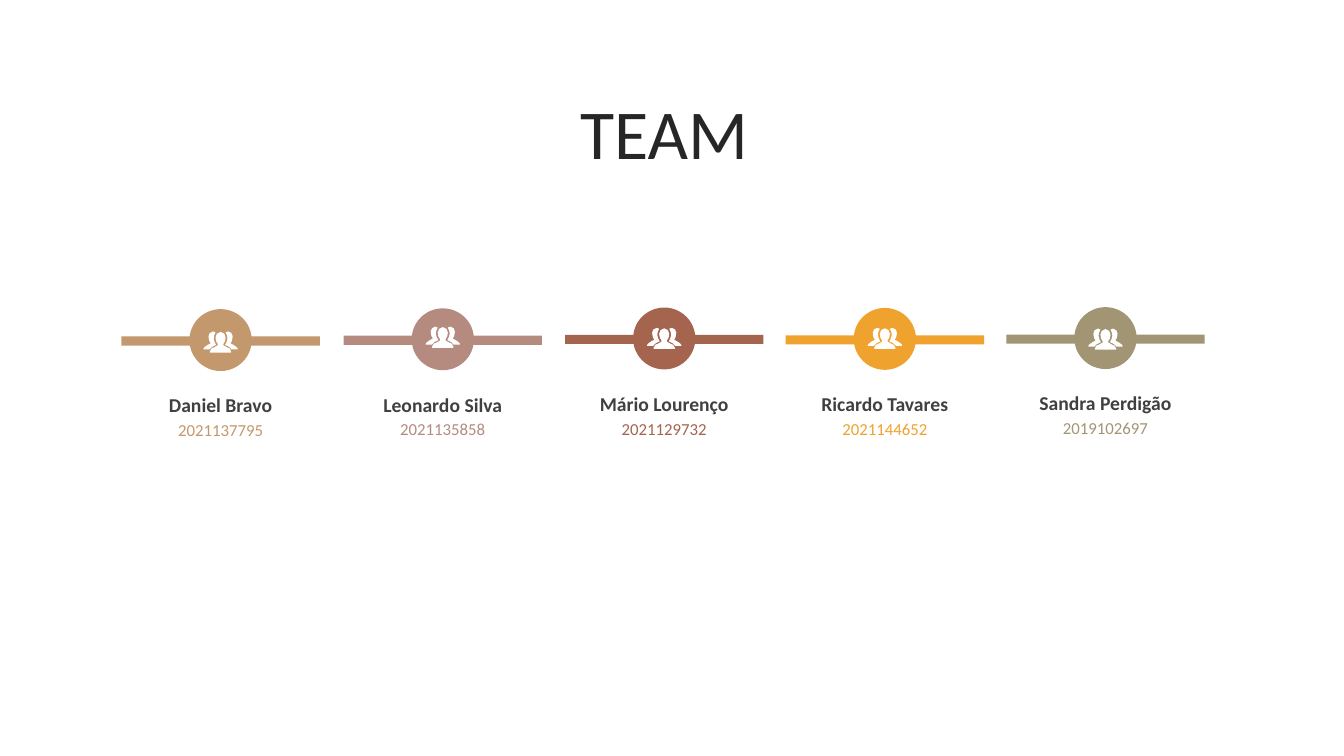
from dataclasses import dataclass

from lxml.etree import SubElement
from pptx import Presentation
from pptx.dml.color import RGBColor
from pptx.enum.shapes import MSO_SHAPE
from pptx.enum.text import MSO_ANCHOR, MSO_AUTO_SIZE, PP_ALIGN
from pptx.oxml.ns import qn
from pptx.util import Cm, Pt

TITLE = "TEAM"

# name, student number, colour, then in cm: centre, top of the circle, drop of the icon
MEMBERS = [
    ("Daniel Bravo", "2021137795", "C3986D", 5.56, 7.79, 0.56),
    ("Leonardo Silva", "2021135858", "B58B80", 11.16, 7.77, 0.46),
    ("Mário Lourenço", "2021129732", "A5644E", 16.74, 7.75, 0.51),
    ("Ricardo Tavares", "2021144652", "F0A22E", 22.3, 7.76, 0.5),
    ("Sandra Perdigão", "2019102697", "A19574", 27.86, 7.74, 0.54),
]

# Icon outlines as chains of cubic curves, measured from the icon's top centre:
# a start, then two control points and an end point for each curve.
FRONT_HALF = [
    (0, 0.5),
    (3, 1), (5, 3), (5, 6),
    (5, 9), (4, 11), (3, 12),
    (3, 13), (2, 14), (3, 14),
    (5, 16), (8, 16), (9, 17),
    (11, 19), (10.5, 21), (10.5, 21),
]
SIDE_PERSON = [
    (7.5, 0),
    (10.5, 0), (12, 3), (12, 5),
    (12, 8), (11, 9), (11, 10),
    (10, 11), (9.5, 12), (10, 12),
    (12, 13), (14, 14), (15, 15),
    (17, 16), (17, 17), (17, 18),
    (14, 18), (14, 18), (11, 18),
    (10, 16), (8, 15), (4.5, 13.5),
    (7, 9), (8, 6), (5, 1),
    (6, 0.5), (6, 0), (7.5, 0),
]
ICON_UNIT = Cm(0.0254)


@dataclass(frozen=True)
class Theme:
    font: str = "Calibri"
    title_color: str = "262626"
    name_color: str = "404040"
    icon_color: str = "FFFFFF"
    title_size: int = 50
    name_size: int = 14
    number_size: int = 12


THEME = Theme()
BAR_WIDTH, BAR_HEIGHT, BAR_DROP = 5.0, 0.23, 0.69
CIRCLE_WIDTH, CIRCLE_HEIGHT = 1.57, 1.56
CAPTION_WIDTH, CAPTION_HEIGHT = 3.91, 0.51
NAME_DROP, NUMBER_DROP = 2.16, 2.79


def write(shape, text, size, color, bold=False, anchor=MSO_ANCHOR.MIDDLE,
          auto_size=MSO_AUTO_SIZE.NONE, margin=0):
    frame = shape.text_frame
    frame.word_wrap = True
    frame.auto_size = auto_size
    frame.vertical_anchor = anchor
    frame.margin_left = frame.margin_right = Cm(margin)
    frame.margin_top = frame.margin_bottom = Cm(margin)
    para = frame.paragraphs[0]
    para.alignment = PP_ALIGN.CENTER
    span = para.add_run()
    span.text = text
    span.font.name = THEME.font
    span.font.size = Pt(size)
    span.font.bold = bold
    span.font.color.rgb = RGBColor.from_string(color)


def paint(shape, color):
    shape.shadow.inherit = False
    shape.fill.solid()
    shape.fill.fore_color.rgb = RGBColor.from_string(color)
    shape.line.fill.background()


def add_block(page, kind, center, top, width, height, color):
    block = page.shapes.add_shape(
        kind, Cm(center - width / 2), Cm(top), Cm(width), Cm(height))
    paint(block, color)


def mirror(points):
    return [(-x, y) for x, y in points]


def bend(shape):
    """Turn every three line segments of a freeform into one cubic curve."""
    segments = list(shape._element.iter(qn("a:lnTo")))
    for first in range(0, len(segments), 3):
        trio = segments[first:first + 3]
        outline = trio[0].getparent()
        curve = SubElement(outline, qn("a:cubicBezTo"))
        trio[0].addprevious(curve)
        for segment in trio:
            curve.append(segment[0])
            outline.remove(segment)


def add_people_icon(page, center, top):
    front = mirror(FRONT_HALF)[::-1] + FRONT_HALF[1:]
    outlines = [
        [(round(Cm(center) + x * ICON_UNIT), round(Cm(top) + y * ICON_UNIT))
         for x, y in outline]
        for outline in (front, SIDE_PERSON, mirror(SIDE_PERSON))]
    builder = page.shapes.build_freeform(*outlines[0][0])
    for index, outline in enumerate(outlines):
        if index:
            builder.move_to(*outline[0])
        builder.add_line_segments(outline[1:], close=True)
    icon = builder.convert_to_shape()
    bend(icon)
    paint(icon, THEME.icon_color)


def add_caption(page, center, top, name, number, color):
    group = page.shapes.add_group_shape()
    lines = [
        (name, NAME_DROP, THEME.name_size, THEME.name_color, True),
        (number, NUMBER_DROP, THEME.number_size, color, False),
    ]
    for text, drop, size, text_color, bold in lines:
        box = group.shapes.add_textbox(
            Cm(center - CAPTION_WIDTH / 2), Cm(top + drop),
            Cm(CAPTION_WIDTH), Cm(CAPTION_HEIGHT))
        write(box, text, size, text_color, bold=bold)


def add_title(page):
    title = page.shapes.title
    title.left, title.top = Cm(11.63), Cm(2.13)
    title.width, title.height = Cm(10.21), Cm(2.39)
    write(title, TITLE, THEME.title_size, THEME.title_color, margin=0.13,
          anchor=MSO_ANCHOR.TOP, auto_size=MSO_AUTO_SIZE.SHAPE_TO_FIT_TEXT)


def main():
    deck = Presentation()
    deck.slide_width, deck.slide_height = Cm(33.87), Cm(19.05)
    page = deck.slides.add_slide(deck.slide_layouts[5])
    add_title(page)
    for name, number, color, center, top, icon_drop in MEMBERS:
        add_block(page, MSO_SHAPE.RECTANGLE, center, top + BAR_DROP,
                  BAR_WIDTH, BAR_HEIGHT, color)
        add_block(page, MSO_SHAPE.OVAL, center, top,
                  CIRCLE_WIDTH, CIRCLE_HEIGHT, color)
        add_people_icon(page, center, top + icon_drop)
        add_caption(page, center, top, name, number, color)
    deck.save("out.pptx")


if __name__ == "__main__":
    main()
